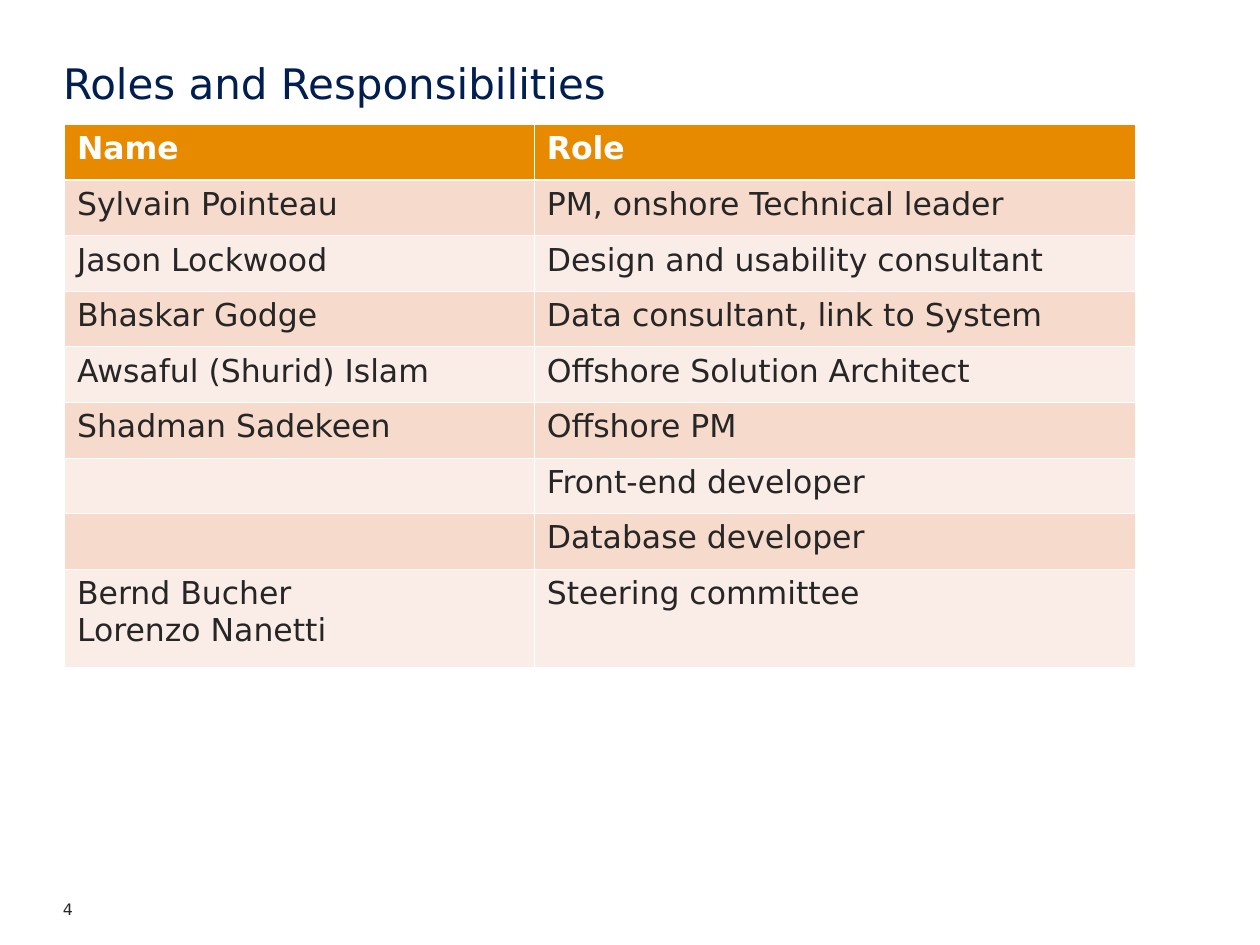
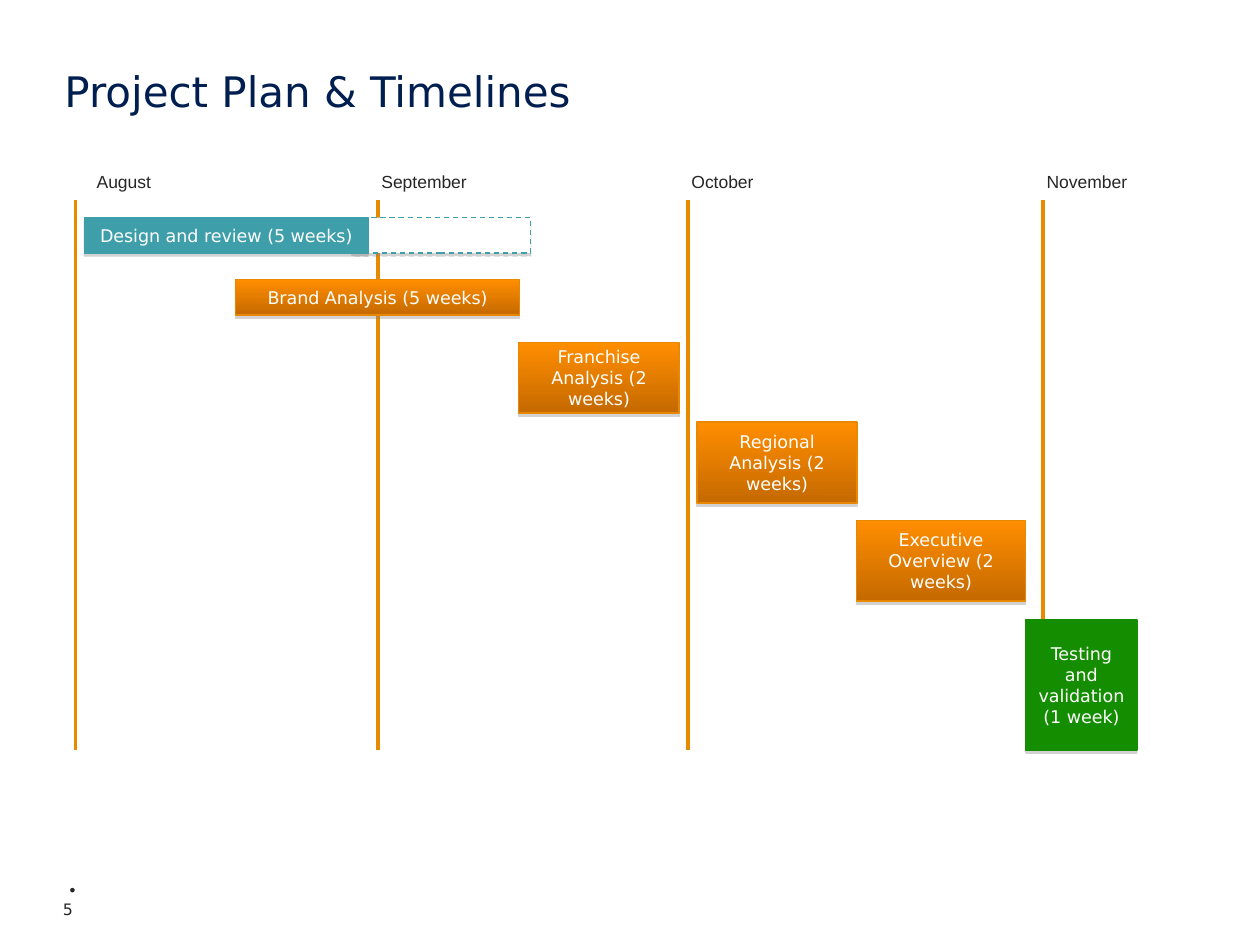
from lxml import etree
from pptx import Presentation
from pptx.dml.color import RGBColor
from pptx.enum.dml import MSO_LINE
from pptx.enum.shapes import MSO_CONNECTOR, MSO_SHAPE
from pptx.enum.text import MSO_ANCHOR, MSO_AUTO_SIZE, PP_ALIGN
from pptx.oxml.ns import qn
from pptx.util import Cm, Pt

DASH = MSO_LINE.DASH
RECT = MSO_SHAPE.RECTANGLE
STRAIGHT = MSO_CONNECTOR.STRAIGHT
TOP, MIDDLE, BOTTOM = MSO_ANCHOR.TOP, MSO_ANCHOR.MIDDLE, MSO_ANCHOR.BOTTOM
LEFT, CENTER = PP_ALIGN.LEFT, PP_ALIGN.CENTER
NO_AUTOFIT = MSO_AUTO_SIZE.NONE

COLORS = {
    "title": "001E4F", "text": "262626", "white": "FFFFFF",
    "orange": "E78A00", "row_dark": "F6DACB", "row_light": "FAEDE7",
    "teal": "3E9FAA", "green": "158D00", "shadow": "808080",
    "bar_top": "FF8E00", "bar_bottom": "C56900", "bar_line": "E78800",
}
BODY_FONT, LABEL_FONT = "DejaVu Sans", "Arial"

ROLES = [
    ("Name", "Role"),
    ("Sylvain Pointeau", "PM, onshore Technical leader"),
    ("Jason Lockwood", "Design and usability consultant"),
    ("Bhaskar Godge", "Data consultant, link to System"),
    ("Awsaful (Shurid) Islam", "Offshore Solution Architect"),
    ("Shadman Sadekeen", "Offshore PM"),
    ("", "Front-end developer"),
    ("", "Database developer"),
    ("Bernd Bucher\nLorenzo Nanetti", "Steering committee"),
]
# month, line x, label x, label width (cm)
MONTHS = [
    ("August", 1.52, 1.7, 1.78),
    ("September", 7.62, 7.44, 2.51),
    ("October", 13.87, 13.69, 2.82),
    ("November", 21.03, 20.85, 2.87),
]
# task, colour, left, top, width, height (cm)
TASKS = [
    ("Design and review (5 weeks)", "teal", 1.7, 4.39, 5.72, 0.71),
    ("Brand Analysis (5 weeks)", "orange", 4.75, 5.64, 5.72, 0.71),
    ("Franchise Analysis (2 weeks)", "orange", 10.46, 6.91, 3.23, 1.42),
    ("Regional Analysis (2 weeks)", "orange", 14.05, 8.51, 3.23, 1.63),
    ("Executive Overview (2 weeks)", "orange", 17.27, 10.49, 3.4, 1.63),
    ("Testing and validation (1 week)", "green", 20.68, 12.5, 2.24, 2.62),
]


def rgb(name):
    return RGBColor.from_string(COLORS[name])


def write(tf, text, size, color, font=BODY_FONT, align=LEFT, bold=False):
    """Fill a text frame, one paragraph per line of text."""
    for i, line in enumerate(text.split("\n")):
        p = tf.add_paragraph() if i else tf.paragraphs[0]
        p.alignment = align
        r = p.add_run()
        r.text = line
        r.font.size = Pt(size)
        r.font.name = font
        r.font.bold = bold
        r.font.color.rgb = rgb(color)


def set_frame(tf, anchor, margins=None):
    tf.word_wrap = True
    tf.auto_size = NO_AUTOFIT
    tf.vertical_anchor = anchor
    if margins:
        tf.margin_left, tf.margin_top, tf.margin_right, tf.margin_bottom = map(Cm, margins)


def add_text_box(slide, box, text, size, font=BODY_FONT, anchor=TOP, margins=None):
    tf = slide.shapes.add_textbox(*map(Cm, box)).text_frame
    set_frame(tf, anchor, margins)
    write(tf, text, size, "text", font)


def new_slide(prs, title, left, top, footer):
    slide = prs.slides.add_slide(prs.slide_layouts[5])
    s = slide.shapes.title
    s.left, s.top, s.width, s.height = map(Cm, (left, top, 22.86, 2.54))
    set_frame(s.text_frame, TOP, (0, 0, 0, 0))
    write(s.text_frame, title, 24, "title")
    add_text_box(slide, (1.27, 17.78, 19.05, 0.89), footer, 9,
                 anchor=BOTTOM, margins=(0, 0, 0, 0.15))
    return slide


def set_borders(cell, widths):
    """Draw white borders; widths are points by side (L, R, T, B)."""
    tc_pr = cell._tc.get_or_add_tcPr()
    for side, width in widths.items():
        ln = etree.SubElement(tc_pr, qn(f"a:ln{side}"), w=str(Pt(width)))
        fill = etree.SubElement(ln, qn("a:solidFill"))
        etree.SubElement(fill, qn("a:srgbClr"), val=COLORS["white"])


def add_roles_table(slide):
    frame = slide.shapes.add_table(len(ROLES), 2, Cm(1.3), Cm(2.51), Cm(21.59), Cm(11.13))
    table = frame.table
    for column, width in zip(table.columns, (9.47, 12.12)):
        column.width = Cm(width)
    for i, row in enumerate(ROLES):
        header = i == 0
        table.rows[i].height = Cm(1.98 if i == len(ROLES) - 1 else 1.12)
        fill = "orange" if header else "row_dark" if i % 2 else "row_light"
        for j, text in enumerate(row):
            cell = table.cell(i, j)
            set_borders(cell, {"L": 0.45, "R": 0.45, "T": 1.47 if i == 1 else 0.45,
                               "B": 1.47 if header else 0.45})
            cell.fill.solid()
            cell.fill.fore_color.rgb = rgb(fill)
            if text:
                write(cell.text_frame, text, 18, "white" if header else "text", bold=header)


def add_drop_shadow(s):
    s.shadow.inherit = False
    effects = s._element.spPr.find(qn("a:effectLst"))
    shadow = etree.SubElement(effects, qn("a:outerShdw"), blurRad="0", dist=str(Pt(1.8)),
                              dir="5400000", rotWithShape="0")
    color = etree.SubElement(shadow, qn("a:srgbClr"), val=COLORS["shadow"])
    etree.SubElement(color, qn("a:alpha"), val="35000")


def add_bar(slide, box, fill, line, text=""):
    s = slide.shapes.add_shape(RECT, *map(Cm, box))
    if fill == "orange":
        s.fill.gradient()
        s.fill.gradient_angle = 270
        for stop, name in zip(s.fill.gradient_stops, ("bar_top", "bar_bottom")):
            stop.color.rgb = rgb(name)
    else:
        s.fill.solid()
        s.fill.fore_color.rgb = rgb(fill)
    s.line.color.rgb = rgb(line)
    s.line.width = Pt(0.75)
    add_drop_shadow(s)
    if text:
        set_frame(s.text_frame, MIDDLE)
        write(s.text_frame, text, 10, "white", align=CENTER)
    return s


def add_month_line(slide, x):
    c = slide.shapes.add_connector(STRAIGHT, Cm(x), Cm(4.04), Cm(x), Cm(15.11))
    c.line.color.rgb = rgb("orange")
    c.line.width = Pt(2)
    etree.SubElement(c._element.spPr, qn("a:effectLst"))


def add_timeline(slide):
    for month, line_x, label_x, width in MONTHS:
        add_month_line(slide, line_x)
        add_text_box(slide, (label_x, 3.33, width, 0.69), month, 10, LABEL_FONT)
    extension = add_bar(slide, (7.09, 4.39, 3.61, 0.71), "white", "teal")
    extension.line.dash_style = DASH
    for text, color, *box in TASKS:
        add_bar(slide, box, color, "bar_line" if color == "orange" else color, text)


def main():
    prs = Presentation()
    prs.slide_width, prs.slide_height = Cm(25.4), Cm(19.05)

    slide = new_slide(prs, "Roles and Responsibilities", 1.27, 1.27, "4")
    slide.shapes.title.text_frame.paragraphs[0].line_spacing = 0.9
    add_roles_table(slide)

    slide = new_slide(prs, "Project Plan & Timelines", 1.3, 1.32, " •\n5")
    add_timeline(slide)

    prs.save("out.pptx")


if __name__ == "__main__":
    main()
